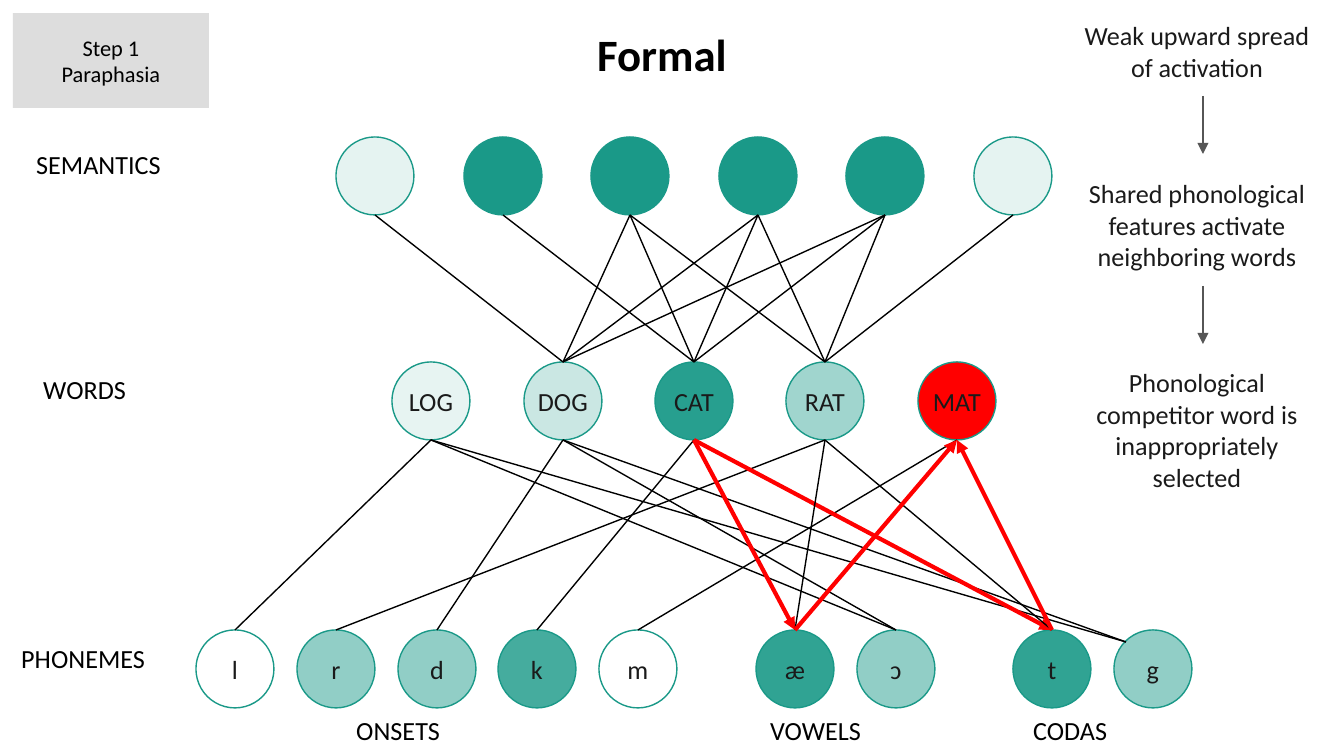
import pptx
import pptx.dml.color
import pptx.enum.shapes
import pptx.enum.text
import pptx.oxml.ns
import pptx.util
from lxml import etree

EMU_PER_PX = 914400 / 134.4
SIZE = 78
GREEN, RED, BLACK, INK = "1A9988", "FF0000", "000000", "1A1A1A"
SHAPE = pptx.enum.shapes.MSO_SHAPE
ALIGN = pptx.enum.text.PP_ALIGN
ANCHOR = pptx.enum.text.MSO_ANCHOR

SEMANTICS = [("S1", 11), ("S2", 100), ("S3", 100), ("S4", 100), ("S5", 100), ("S6", 11)]
WORDS = [("LOG", 10), ("DOG", 23), ("CAT", 94), ("RAT", 41), ("MAT", 100)]
ONSETS = [("l", 0), ("r", 48), ("d", 48), ("k", 81), ("m", 0)]
VOWELS = [("æ", 90), ("ɔ", 48)]
CODAS = [("t", 90), ("g", 48)]
LINKS = [
    ("S2", "CAT"), ("S3", "CAT"), ("S4", "CAT"), ("S1", "DOG"),
    ("LOG", "l"), ("DOG", "d"), ("CAT", "k"), ("RAT", "r"), ("MAT", "m"),
    ("LOG", "ɔ"), ("LOG", "g"), ("DOG", "ɔ"), ("DOG", "g"),
    ("CAT", "æ", "tailEnd"), ("CAT", "t", "tailEnd"), ("RAT", "æ"), ("RAT", "t"),
    ("MAT", "æ", "headEnd"), ("MAT", "t", "headEnd"),
    ("S3", "DOG"), ("S3", "RAT"), ("S6", "RAT"), ("S4", "DOG"), ("S4", "RAT"),
    ("S5", "DOG"), ("S5", "CAT"), ("S5", "RAT"),
]
LABELS = [
    ("ONSETS", 343, 708, 112), ("VOWELS", 757, 708, 120), ("CODAS", 1020, 708, 102),
    ("SEMANTICS", 23, 142, 153), ("WORDS", 30, 367, 110), ("PHONEMES", 8, 636, 152),
]
STAGES = [
    "Weak upward spread of activation",
    "Shared phonological features activate neighboring words",
    "Phonological competitor word is inappropriately selected",
]


def px(n):
    """Turn pixels into EMU."""
    return pptx.util.Emu(round(n * EMU_PER_PX))


def color(value):
    """Turn a hex string into a colour."""
    return pptx.dml.color.RGBColor.from_string(value)


def write(sp, paragraphs, size=14, fill=BLACK, bold=False, align=ALIGN.CENTER,
          anchor=ANCHOR.TOP, gap=0, margin=None):
    """Set the text of a shape, one paragraph per string."""
    tf = sp.text_frame
    tf.word_wrap = True
    tf.vertical_anchor = anchor
    if margin is not None:
        tf.margin_left = tf.margin_right = tf.margin_top = tf.margin_bottom = px(margin)
    for i, text in enumerate(paragraphs):
        p = tf.add_paragraph() if i else tf.paragraphs[0]
        p.alignment = align
        if i and gap:
            p.space_before = pptx.util.Pt(gap)
        r = p.add_run()
        r.text = text
        r.font.name = "Calibri"
        r.font.size = pptx.util.Pt(size)
        r.font.bold = bold
        r.font.color.rgb = color(fill)


def add_text(s, paragraphs, x, y, w, h, **fmt):
    """Add a text box."""
    write(s.shapes.add_textbox(px(x), px(y), px(w), px(h)), paragraphs, **fmt)


def add_node(group, x, y, fill, alpha):
    """Add a circle whose fill opacity shows its activation."""
    sp = group.shapes.add_shape(SHAPE.OVAL, px(x), px(y), px(SIZE), px(SIZE))
    sp.shadow.inherit = False
    sp.line.color.rgb = color(GREEN)
    sp.line.width = pptx.util.Pt(0.75)
    if not alpha:
        sp.fill.background()
        return sp
    sp.fill.solid()
    sp.fill.fore_color.rgb = color(fill)
    if alpha < 100:
        srgb = sp.fill._xPr.find(".//" + pptx.oxml.ns.qn("a:srgbClr"))
        etree.SubElement(srgb, pptx.oxml.ns.qn("a:alpha"), val=str(alpha * 1000))
    return sp


def add_row(group, items, x, y, step, named=True, margin=None):
    """Add evenly spaced nodes and return them by name."""
    nodes = {}
    for i, (name, alpha) in enumerate(items):
        fill = RED if name == "MAT" else GREEN
        nodes[name] = add_node(group, round(x + i * step), y, fill, alpha)
        if named:
            write(nodes[name], [name], fill=INK, anchor=ANCHOR.MIDDLE, margin=margin)
    return nodes


def add_line(s, x1, y1, x2, y2, stroke=BLACK, width=0.75, arrow=None):
    """Add a straight connector between two EMU points."""
    line = s.shapes.add_connector(pptx.enum.shapes.MSO_CONNECTOR.STRAIGHT, x1, y1, x2, y2)
    line.line.color.rgb = color(stroke)
    line.line.width = pptx.util.Pt(width)
    if arrow:
        etree.SubElement(line.line._get_or_add_ln(), pptx.oxml.ns.qn("a:" + arrow), type="triangle")
    etree.SubElement(line._element.spPr, pptx.oxml.ns.qn("a:effectLst"))
    return line


def add_link(s, upper, lower, arrow=None, corner=False):
    """Link the bottom of one node to the top, or upper left, of another."""
    x1, y1 = upper.left + upper.width // 2, upper.top + upper.height
    inset = px(12)
    x2 = lower.left + (inset if corner else lower.width // 2)
    y2 = lower.top + (inset if corner else 0)
    stroke, width = (RED, 2.25) if arrow else (BLACK, 0.75)
    line = add_line(s, x1, y1, x2, y2, stroke, width, arrow)
    if not corner:
        line.end_connect(lower, 0)


def main():
    """Build the slide."""
    prs = pptx.Presentation()
    prs.slide_width, prs.slide_height = px(1344), px(756)
    s = prs.slides.add_slide(prs.slide_layouts[6])

    nodes = add_row(s.shapes.add_group_shape(), SEMANTICS, 336, 137, 127.6, named=False)
    nodes.update(add_row(s.shapes.add_group_shape(), WORDS, 392, 362, 131.5, margin=0))
    phonemes = s.shapes.add_group_shape()
    for items, x in ((ONSETS, 196), (VOWELS, 756), (CODAS, 1013)):
        nodes.update(add_row(phonemes, items, x, 630, 100.8))
    for upper, lower, *arrow in LINKS:
        add_link(s, nodes[upper], nodes[lower], *arrow, corner=lower == "g")

    for text, x, y, w in LABELS:
        add_text(s, [text], x, y, w, 46, align=ALIGN.LEFT)
    add_text(s, ["Formal"], 504, 20, 316, 67, size=24, bold=True)
    add_text(s, STAGES, 1064, 13, 266, 489, fill=INK, gap=51)
    for y in (96, 286):
        add_line(s, px(1203), px(y), px(1203), px(y + 58), "565656", arrow="tailEnd")

    step = s.shapes.add_shape(SHAPE.RECTANGLE, px(13), px(13), px(196), px(95))
    step.shadow.inherit = False
    step.fill.solid()
    step.fill.fore_color.rgb = color("DDDDDD")
    step.line.fill.background()
    write(step, ["Step 1", "Paraphasia"], size=12, anchor=ANCHOR.MIDDLE)
    prs.save("out.pptx")


if __name__ == "__main__":
    main()
